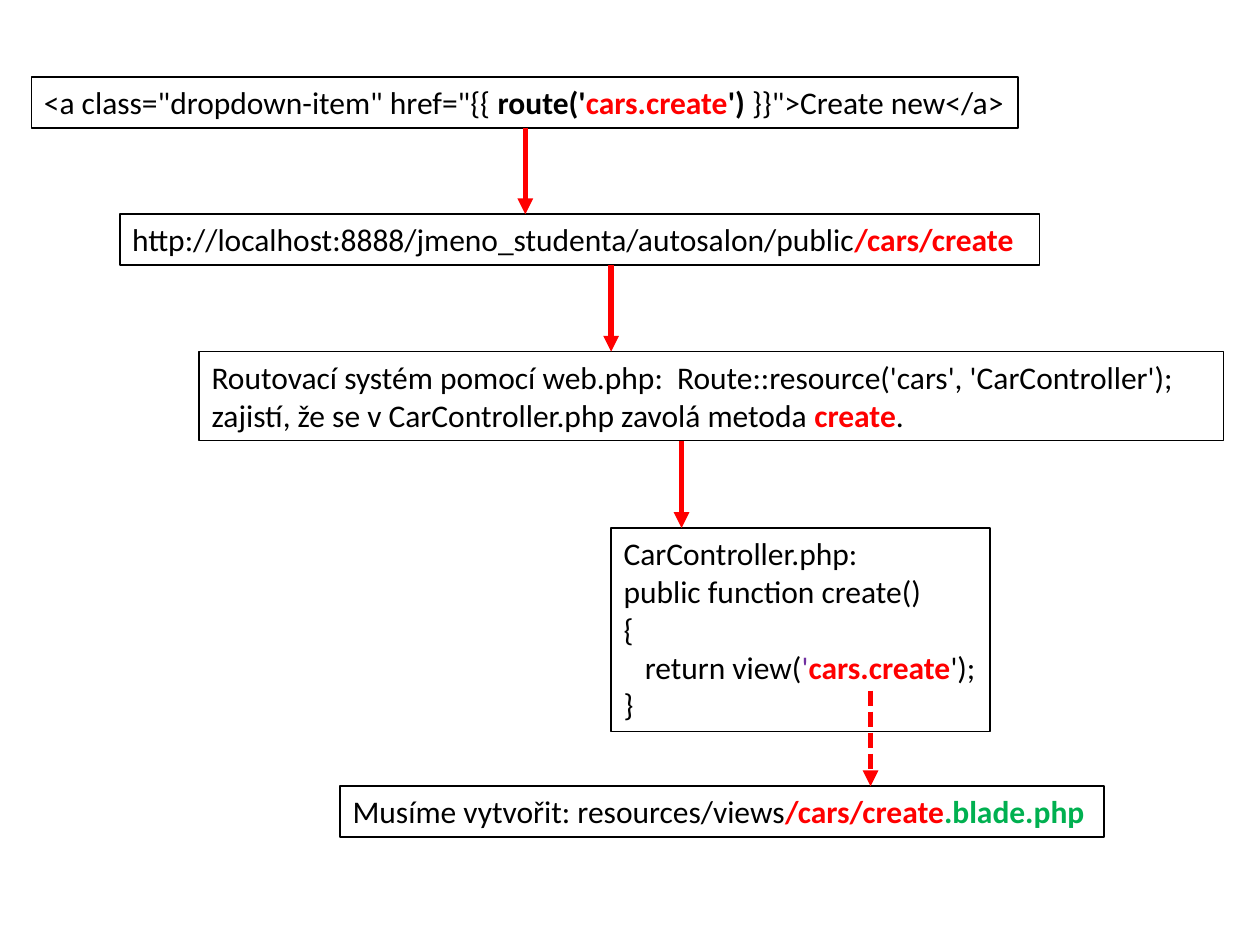
from pptx import Presentation
from pptx.dml.color import RGBColor
from pptx.enum.dml import MSO_LINE_DASH_STYLE as Dash
from pptx.enum.shapes import MSO_CONNECTOR as Connector, MSO_SHAPE as Shape
from pptx.enum.text import MSO_ANCHOR as Anchor, MSO_AUTO_SIZE as AutoSize, PP_ALIGN as Align
from pptx.oxml.ns import qn
from pptx.util import Pt
from lxml.etree import SubElement

BLACK, RED, PURPLE, GREEN = "000000", "FF0000", "7030A0", "00B050"


def color(value):
    return RGBColor.from_string(value)


def apply_format(target, values):
    for name, value in values.items():
        setattr(target, name, value)


class FlowSlide:
    font_format = {"name": "Calibri", "size": Pt(18)}
    frame_format = {"auto_size": AutoSize.SHAPE_TO_FIT_TEXT, "vertical_anchor": Anchor.TOP}

    def __init__(self, presentation):
        self.slide = presentation.slides.add_slide(presentation.slide_layouts[6])

    def box(self, left, top, width, height, lines, wrap=True):
        """Draw an outlined box; each line is (indent, runs)."""
        shape = self.slide.shapes.add_shape(
            Shape.RECTANGLE, Pt(left), Pt(top), Pt(width), Pt(height))
        shape.shadow.inherit = False
        shape.fill.background()
        shape.line.color.rgb = color(BLACK)
        shape.line.width = Pt(1)
        frame = shape.text_frame
        apply_format(frame, {**self.frame_format, "word_wrap": wrap})
        for index, (indent, runs) in enumerate(lines):
            paragraph = frame.add_paragraph() if index else frame.paragraphs[0]
            paragraph.alignment = Align.LEFT
            if indent:
                paragraph._p.get_or_add_pPr().set("marL", str(Pt(indent)))
            for text, text_color, bold in runs:
                run = paragraph.add_run()
                run.text = text
                apply_format(run.font, {**self.font_format, "bold": bold})
                run.font.color.rgb = color(text_color)

    def arrow(self, x, top, bottom, dash=None):
        """Draw a red arrow pointing down."""
        connector = self.slide.shapes.add_connector(
            Connector.STRAIGHT, Pt(x), Pt(top), Pt(x), Pt(bottom))
        connector.line.color.rgb = color(RED)
        apply_format(connector.line, {"width": Pt(3), "dash_style": dash})
        SubElement(connector.line._get_or_add_ln(), qn("a:tailEnd"), type="triangle")
        SubElement(connector._element.spPr, qn("a:effectLst"))


def plain(text):
    return text, BLACK, False


def strong(text, text_color=RED):
    return text, text_color, True


def main():
    presentation = Presentation()
    apply_format(presentation, {"slide_width": Pt(720), "slide_height": Pt(540)})
    flow = FlowSlide(presentation)

    # Link in the menu
    flow.box(18, 43.9, 563.8, 29.1, [
        (0, [plain('<a class="dropdown-item" href="{{ '), strong("route('", BLACK),
             strong("cars.create"), strong("')", BLACK),
             plain(' }}">Create new</a>')]),
    ])

    # Controller method
    flow.box(349.2, 301.7, 216.7, 116.3, [
        (0, [plain("CarController.php:")]),
        (0, [plain("public function create()")]),
        (0, [plain("{")]),
        (12.2, [plain("return view("), ("'", PURPLE, False),
                strong("cars.create"), plain("');")]),
        (0, [plain("}")]),
    ], wrap=False)

    # Requested address
    flow.box(68.4, 122.4, 525.6, 29.1, [
        (0, [plain("http://localhost:8888/jmeno_studenta/autosalon/public"),
             strong("/cars/create")]),
    ])

    # Routing
    flow.box(113.8, 200.9, 585.4, 50.9, [
        (0, [plain("Routovací systém pomocí web.php:  "
                   "Route::resource('cars', 'CarController');")]),
        (0, [plain("zajistí, že se v CarController.php zavolá metoda "),
             strong("create"), plain(".")]),
    ])

    # View file
    flow.box(194.4, 449.3, 436.3, 29.1, [
        (0, [plain("Musíme vytvořit: resources/views"), strong("/cars/create"),
             strong(".blade.php", GREEN)]),
    ], wrap=False)

    # Steps between the boxes
    for x, top, bottom in [(300.2, 73, 122.4), (349.2, 151.5, 200.9), (389.5, 251.8, 301.7)]:
        flow.arrow(x, top, bottom)
    flow.arrow(497.5, 394.6, 449.3, Dash.SQUARE_DOT)

    presentation.save("out.pptx")


if __name__ == "__main__":
    main()
